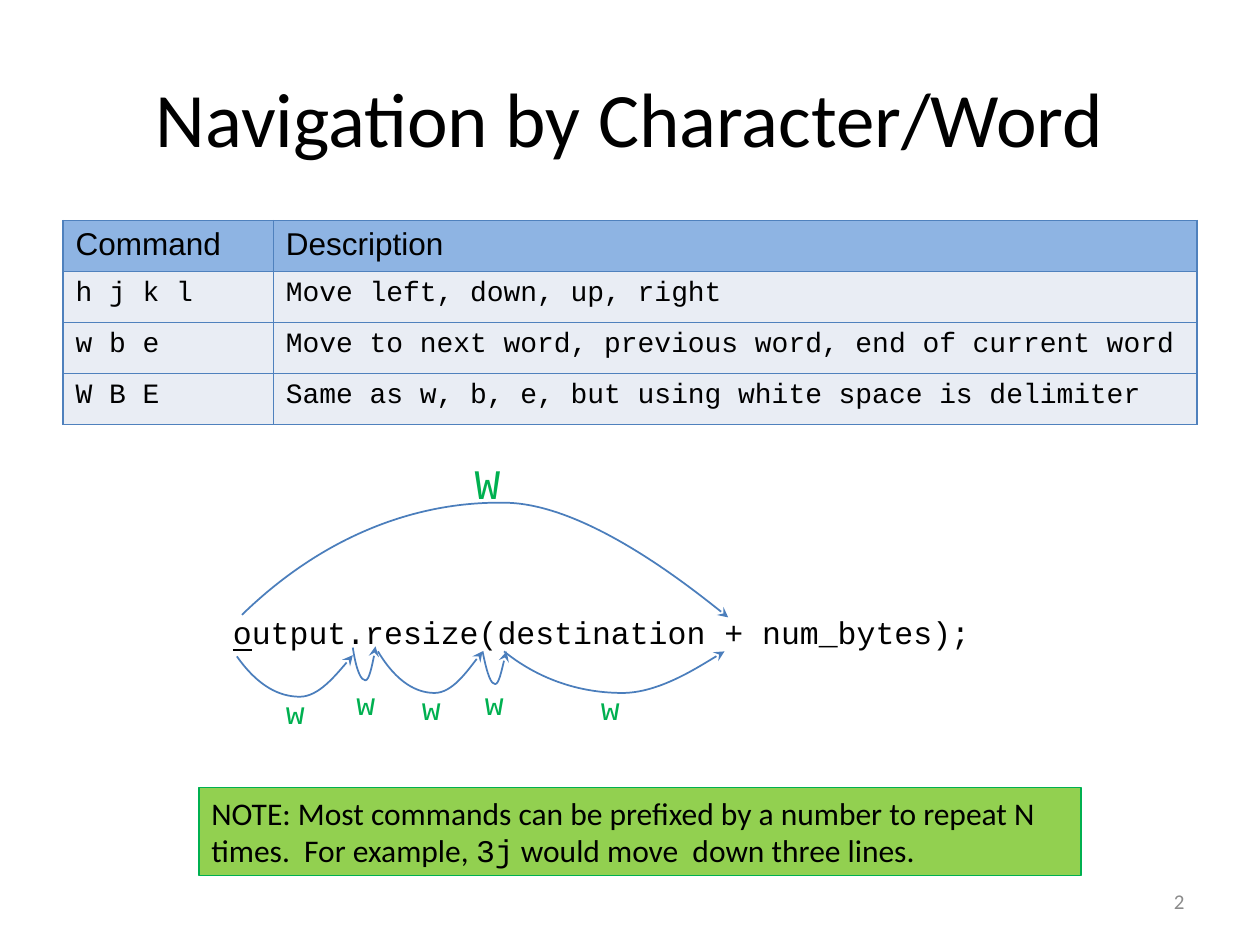
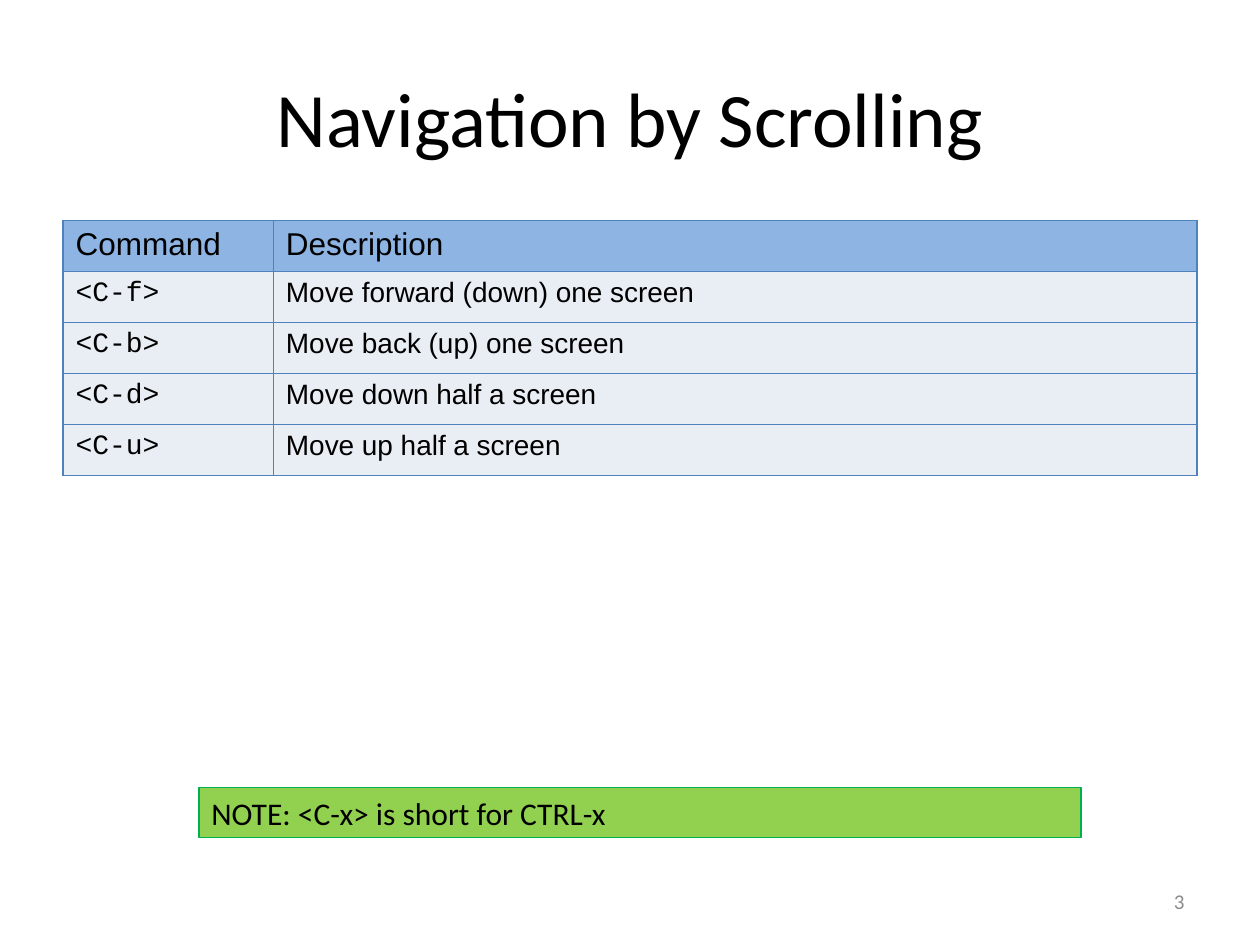
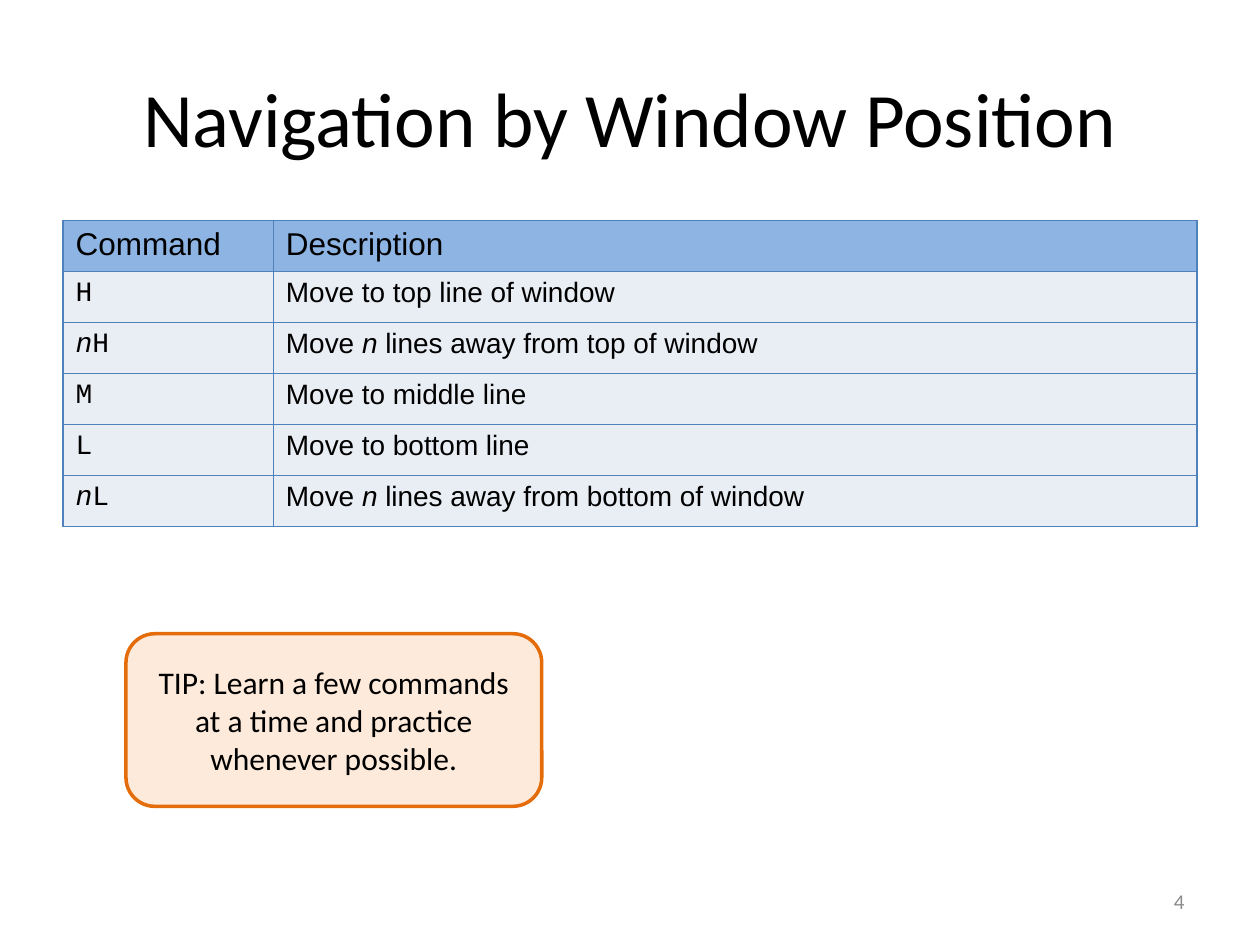
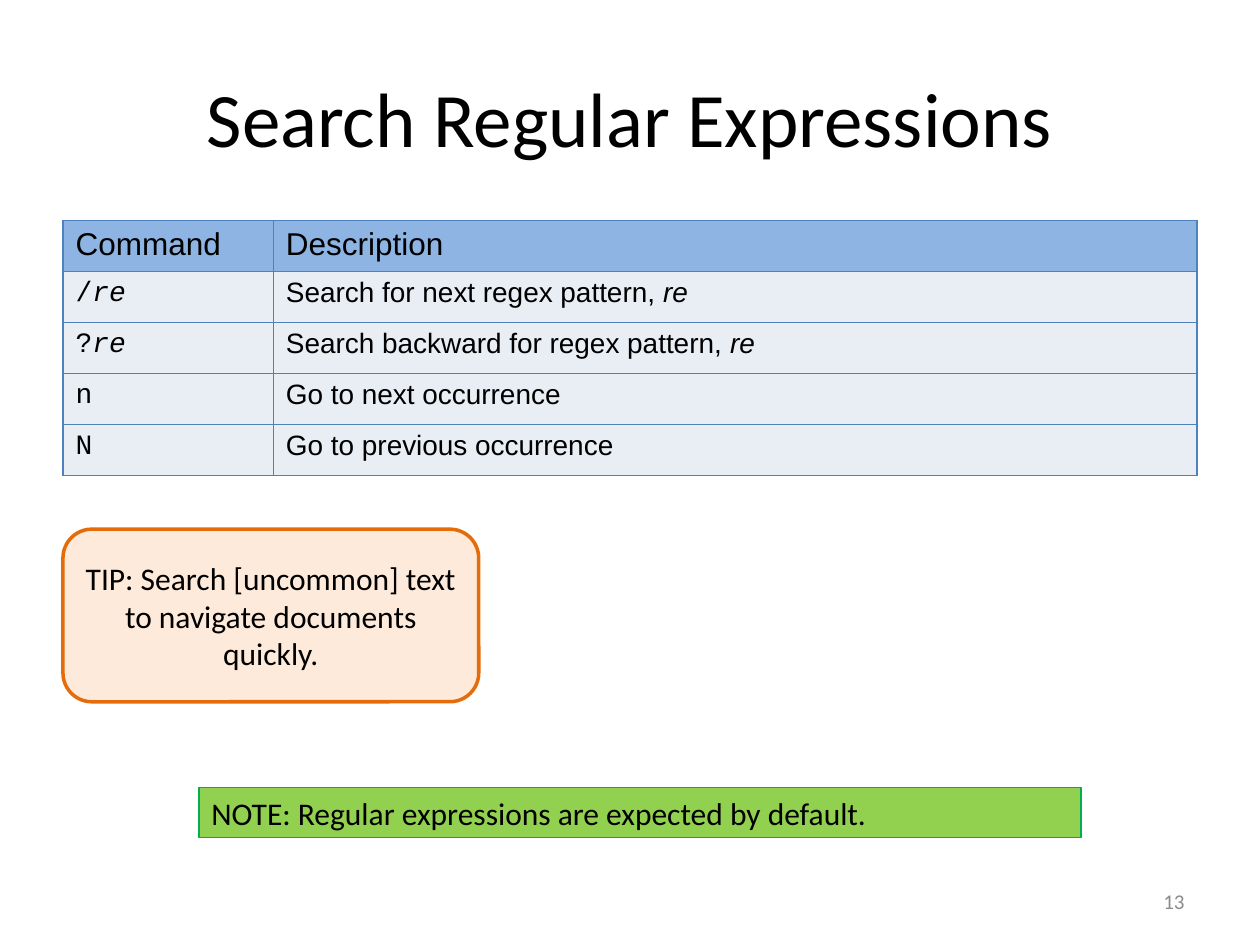
from dataclasses import dataclass

import pptx
import pptx.dml.color
import pptx.enum.shapes
import pptx.enum.text
import pptx.oxml
import pptx.oxml.ns
import pptx.util

Inches = pptx.util.Inches
Pt = pptx.util.Pt
Align = pptx.enum.text.PP_ALIGN
Anchor = pptx.enum.text.MSO_ANCHOR
Preset = pptx.enum.shapes.MSO_SHAPE

# Shared fonts and colours
BODY, SANS, MONO = "Calibri", "Arial", "Courier New"
BLACK, GREY, GREEN = "000000", "8B8B8B", "00B050"
HEAD, ROW, GRID, CURVE = "8EB4E3", "E9EDF4", "4F81BD", "4B7EBC"
COLS = (1.67, 7.33)
ROW_H = 0.81 / 2


@dataclass(frozen=True)
class Face:
    name: str
    size: int
    color: str = BLACK


@dataclass(frozen=True)
class Panel:
    """A filled box with text; words between asterisks are code."""
    kind: int
    box: tuple
    text: str
    fill: str
    line: str
    width: float
    align: int
    anchor: int


@dataclass(frozen=True)
class Hop:
    """A curved arrow through start and control points, with its key label."""
    points: tuple
    key: str
    left: float
    top: float
    wide: float = 0.35
    high: float = 0.4
    size: int = 18


@dataclass(frozen=True)
class Page:
    number: int
    title: str
    rows: tuple
    panels: tuple = ()
    face: str = SANS


def note(text, high=0.4):
    return Panel(Preset.RECTANGLE, (1.58, 6.25, 7, high), text,
                 "92D050", GREEN, 0.75, Align.LEFT, Anchor.TOP)


def tip(left, top, text):
    return Panel(Preset.ROUNDED_RECTANGLE, (left, top, 3.3, 1.37), text,
                 "FDEADA", "E46C0A", 2, Align.CENTER, Anchor.MIDDLE)


PAGES = (
    Page(2, "Navigation by Character/Word", (
        ("h j k l", "Move left, down, up, right"),
        ("w b e", "Move to next word, previous word, end of current word"),
        ("W B E", "Same as w, b, e, but using white space is delimiter"),
    ), (note("NOTE: Most commands can be prefixed by a number to repeat N times."
             "  For example, *3j* would move  down three lines.", 0.7),), MONO),
    Page(3, "Navigation by Scrolling", (
        ("<C-f>", "Move forward (down) one screen"),
        ("<C-b>", "Move back (up) one screen"),
        ("<C-d>", "Move down half a screen"),
        ("<C-u>", "Move up half a screen"),
    ), (note("NOTE: <C-x> is short for CTRL-x"),)),
    Page(4, "Navigation by Window Position", (
        ("H", "Move to top line of window"),
        ("*n*H", "Move *n* lines away from top of window"),
        ("M", "Move to middle line"),
        ("L", "Move to bottom line"),
        ("*n*L", "Move *n* lines away from bottom of window"),
    ), (tip(1, 5.03, "TIP: Learn a few commands at a time and practice"
            " whenever possible."),)),
    Page(13, "Search Regular Expressions", (
        ("/*re*", "Search for next regex pattern, *re*"),
        ("?*re*", "Search backward for regex pattern, *re*"),
        ("n", "Go to next occurrence"),
        ("N", "Go to previous occurrence"),
    ), (tip(0.5, 4.2, "TIP: Search [uncommon] text to navigate documents quickly."),
        note("NOTE: Regular expressions are expected by default."))),
)

HOPS = (
    Hop(((1.92, 4.88), (2.61, 4.21), (3.36, 3.98), (4, 3.99),
         (4.64, 3.99), (5.62, 4.77), (5.78, 4.9)), "W", 3.67, 3.58, 0.4, 0.5, 24),
    Hop(((1.88, 5.21), (2.05, 5.45), (2.22, 5.53), (2.38, 5.53),
         (2.53, 5.53), (2.76, 5.25), (2.8, 5.2)), "w", 2.17, 5.45),
    Hop(((2.8, 5.14), (2.83, 5.34), (2.87, 5.4), (2.9, 5.4),
         (2.93, 5.4), (2.98, 5.17), (2.98, 5.13)), "w", 2.73, 5.38),
    Hop(((3, 5.17), (3.15, 5.42), (3.31, 5.5), (3.45, 5.5),
         (3.59, 5.5), (3.8, 5.21), (3.83, 5.17)), "w", 3.25, 5.42),
    Hop(((3.83, 5.17), (3.87, 5.37), (3.9, 5.43), (3.93, 5.43),
         (3.96, 5.43), (4.01, 5.2), (4.02, 5.17)), "w", 3.75, 5.38),
    Hop(((4, 5.17), (4.31, 5.42), (4.65, 5.5), (4.94, 5.5),
         (5.23, 5.5), (5.68, 5.21), (5.75, 5.17)), "w", 4.67, 5.42),
)


def rgb(code: str):
    return pptx.dml.color.RGBColor.from_string(code)


def paint(target, code: str) -> None:
    target.fill.solid()
    target.fill.fore_color.rgb = rgb(code)


def stroke(line, code: str, width: float) -> None:
    line.color.rgb = rgb(code)
    line.width = Pt(width)


def write(frame, text: str, face: Face, align=Align.LEFT, mark="italic") -> None:
    """Write one paragraph; parts between asterisks get the mark."""
    par = frame.paragraphs[0]
    par.alignment = align
    par.font.name, par.font.size = face.name, Pt(face.size)
    par.font.color.rgb = rgb(face.color)
    for place, part in enumerate(text.split("*")):
        if not part:
            continue
        run = par.add_run()
        run.text = part
        if place % 2:
            if mark == "code":
                run.font.name = MONO
            else:
                setattr(run.font, mark, True)


def add_text(slide, box: tuple, text: str, face: Face, align=Align.LEFT,
             wrap=True, mark="italic") -> None:
    frame = slide.shapes.add_textbox(*map(Inches, box)).text_frame
    frame.word_wrap = wrap
    if wrap:
        frame.vertical_anchor = Anchor.MIDDLE
    else:
        frame.auto_size = pptx.enum.text.MSO_AUTO_SIZE.SHAPE_TO_FIT_TEXT
    write(frame, text, face, align, mark)


def add_edges(cell) -> None:
    props = cell._tc.get_or_add_tcPr()
    for place, side in enumerate("LRTB"):
        props.insert(place, pptx.oxml.parse_xml(
            f'<a:ln{side} {pptx.oxml.ns.nsdecls("a")} w="{Pt(1)}"><a:solidFill>'
            f'<a:srgbClr val="{GRID}"/></a:solidFill></a:ln{side}>'))


def add_grid(slide, page: Page) -> None:
    rows = (("Command", "Description"),) + page.rows
    table = slide.shapes.add_table(
        len(rows), len(COLS), Inches(0.5), Inches(1.75),
        Inches(sum(COLS)), Inches(ROW_H * len(rows))).table
    table.first_row = table.horz_banding = False
    for col, wide in zip(table.columns, COLS):
        col.width = Inches(wide)
    for y, row in enumerate(rows):
        table.rows[y].height = Inches(ROW_H)
        for x, text in enumerate(row):
            cell = table.cell(y, x)
            paint(cell, ROW if y else HEAD)
            add_edges(cell)
            face = Face(page.face if x else MONO, 16) if y else Face(SANS, 18)
            write(cell.text_frame, text, face)


def add_panel(slide, panel: Panel) -> None:
    shape = slide.shapes.add_shape(panel.kind, *map(Inches, panel.box))
    shape.shadow.inherit = False
    paint(shape, panel.fill)
    stroke(shape.line, panel.line, panel.width)
    shape.text_frame.word_wrap = True
    shape.text_frame.vertical_anchor = panel.anchor
    write(shape.text_frame, panel.text, Face(BODY, 18), panel.align, "code")


def add_hop(slide, hop: Hop) -> None:
    start, *rest = [(Inches(x), Inches(y)) for x, y in hop.points]
    maker = slide.shapes.build_freeform(*start)
    maker.add_line_segments(rest, close=False)
    shape = maker.convert_to_shape()
    shape.shadow.inherit = False
    shape.fill.background()
    stroke(shape.line, CURVE, 1)
    # Join each three straight steps into one Bézier curve
    steps = shape.element.findall(".//" + pptx.oxml.ns.qn("a:lnTo"))
    for first in range(0, len(steps), 3):
        curve = pptx.oxml.parse_xml(f'<a:cubicBezTo {pptx.oxml.ns.nsdecls("a")}/>')
        steps[first].addprevious(curve)
        for step in steps[first:first + 3]:
            curve.append(step[0])
            step.getparent().remove(step)
    shape.line._get_or_add_ln().append(pptx.oxml.parse_xml(
        f'<a:tailEnd {pptx.oxml.ns.nsdecls("a")} type="stealth"/>'))
    add_text(slide, (hop.left, hop.top, hop.wide, hop.high), hop.key,
             Face(MONO, hop.size, GREEN), wrap=False)


def add_page(deck, page: Page):
    slide = deck.slides.add_slide(deck.slide_layouts[6])
    add_text(slide, (0.5, 0.3, 9, 1.25), page.title, Face(BODY, 44), Align.CENTER)
    add_text(slide, (7.17, 6.95, 2.33, 0.4), str(page.number),
             Face(BODY, 12, GREY), Align.RIGHT)
    add_grid(slide, page)
    for panel in page.panels:
        add_panel(slide, panel)
    return slide


def main() -> None:
    deck = pptx.Presentation()
    deck.slide_width, deck.slide_height = Inches(10), Inches(7.5)
    slides = [add_page(deck, page) for page in PAGES]
    # Word hops over a line of code
    add_text(slides[0], (1.75, 4.82, 6.08, 0.4),
             "*o*utput.resize(destination + num_bytes);",
             Face(MONO, 18), wrap=False, mark="underline")
    for hop in HOPS:
        add_hop(slides[0], hop)
    deck.save("out.pptx")


if __name__ == "__main__":
    main()
